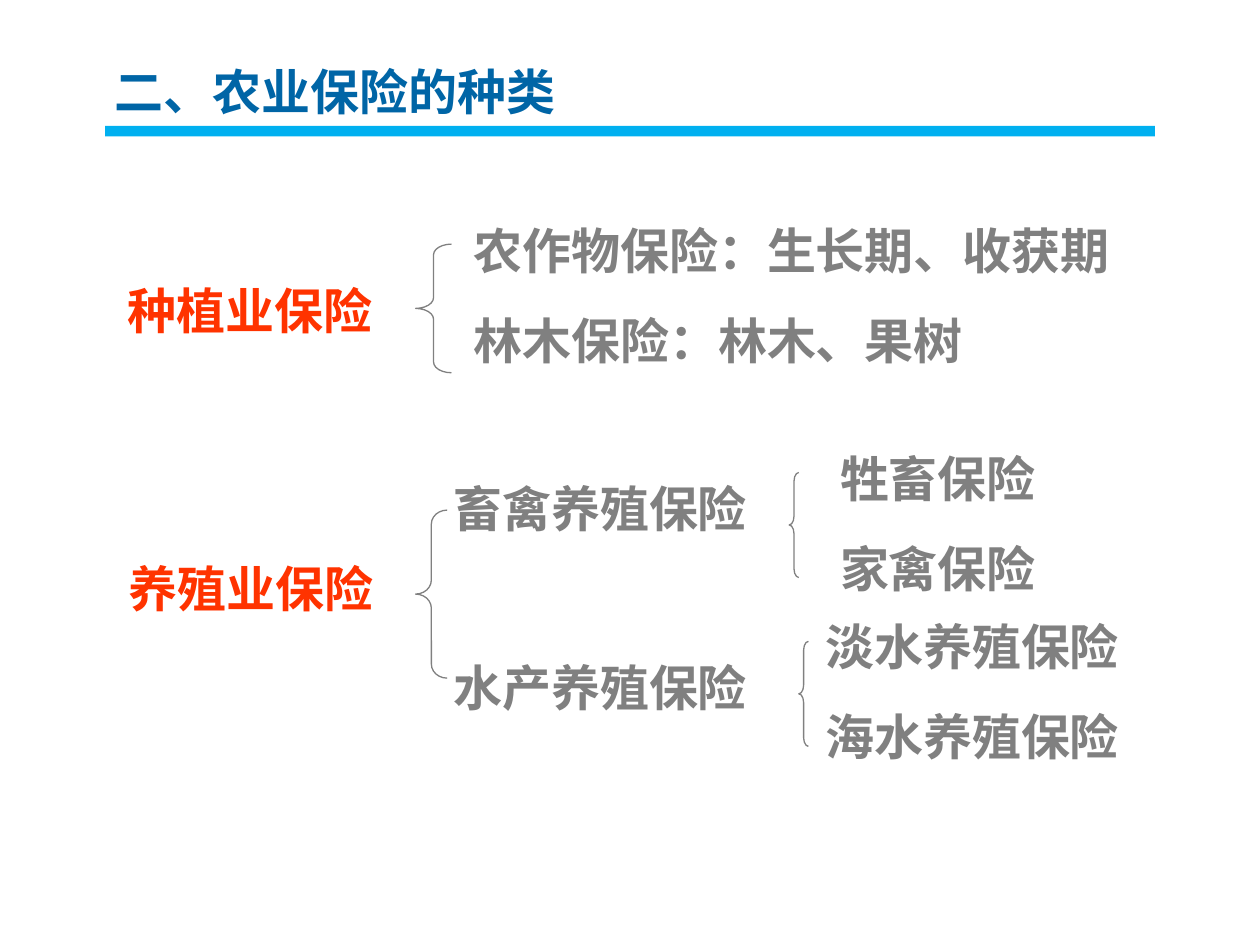
from pptx import Presentation
from pptx.dml.color import RGBColor
from pptx.enum.shapes import MSO_SHAPE as Shape
from pptx.enum.text import MSO_ANCHOR as Anchor, MSO_AUTO_SIZE as AutoSize, PP_ALIGN as Align
from pptx.util import Pt

COLORS = {"title": "0065A6", "bar": "00B0F0", "category": "FF3300", "item": "808080"}
FONT = {"name": "Noto Sans CJK SC", "size": Pt(28), "bold": True}
LINE_HEIGHT, GAP, INSET = 33.6, 17.5, 3.6


def color(role):
    return RGBColor.from_string(COLORS[role])


class InsuranceSlide:
    def __init__(self, prs):
        self.slide = prs.slides.add_slide(prs.slide_layouts[5])

    def fill_text(self, frame, lines, role, align=Align.LEFT):
        frame_format = {"word_wrap": True, "auto_size": AutoSize.NONE,
                        "vertical_anchor": Anchor.TOP}
        for name, value in frame_format.items():
            setattr(frame, name, value)
        for index, line in enumerate(lines):
            paragraph = frame.add_paragraph() if index else frame.paragraphs[0]
            paragraph.text = line
            paragraph.alignment = align
            paragraph.space_before = Pt(GAP if index else 0)
            for name, value in FONT.items():
                setattr(paragraph.font, name, value)
            paragraph.font.color.rgb = color(role)

    def title(self, text, left, top, width, height):
        heading = self.slide.shapes.title
        place = {"left": left, "top": top, "width": width, "height": height}
        for name, value in place.items():
            setattr(heading, name, Pt(value))
        self.fill_text(heading.text_frame, [text], "title")

    def bar(self, left, top, width, height):
        rule = self.slide.shapes.add_shape(
            Shape.RECTANGLE, Pt(left), Pt(top), Pt(width), Pt(height))
        rule.shadow.inherit = False
        rule.fill.solid()
        rule.fill.fore_color.rgb = color("bar")
        rule.line.fill.background()

    def label(self, lines, left, top, width, role="item", align=Align.LEFT):
        height = len(lines) * LINE_HEIGHT + (len(lines) - 1) * GAP + 2 * INSET
        box = self.slide.shapes.add_textbox(Pt(left), Pt(top), Pt(width), Pt(height))
        self.fill_text(box.text_frame, lines, role, align)

    def brace(self, left, top, width, height):
        """Draw a left brace whose curves each take a twelfth of its height."""
        brace = self.slide.shapes.add_shape(
            Shape.LEFT_BRACE, Pt(left), Pt(top), Pt(width), Pt(height))
        brace.adjustments[0] = height / 12 / width
        brace.shadow.inherit = False
        brace.fill.background()
        brace.line.color.rgb = color("item")
        brace.line.width = Pt(0.75)


def main():
    prs = Presentation()
    prs.slide_width, prs.slide_height = Pt(720), Pt(540)
    page = InsuranceSlide(prs)
    page.bar(60, 72, 600, 6)
    page.title("二、农业保险的种类", 58.5, 31.5, 648, 61)

    page.label(["种植业保险"], 48, 157, 189.5, "category", Align.CENTER)
    page.brace(237.5, 139.5, 20.5, 73.5)
    page.label(["农作物保险：生长期、收获期", "林木保险：林木、果树"], 263.5, 122.5, 391)

    page.label(["养殖业保险"], 60, 315.5, 167, "category", Align.CENTER)
    page.brace(237.5, 291.5, 18, 96)
    page.label(["畜禽养殖保险"], 252, 270, 199)
    page.brace(451, 270, 5.5, 60)
    page.label(["牲畜保险", "家禽保险"], 473, 253, 174)
    page.label(["水产养殖保险"], 252, 372, 189)
    page.brace(456.5, 366.5, 5.5, 60)
    page.label(["淡水养殖保险", "海水养殖保险"], 456.5, 349, 198, align=Align.CENTER)
    prs.save("out.pptx")


if __name__ == "__main__":
    main()
